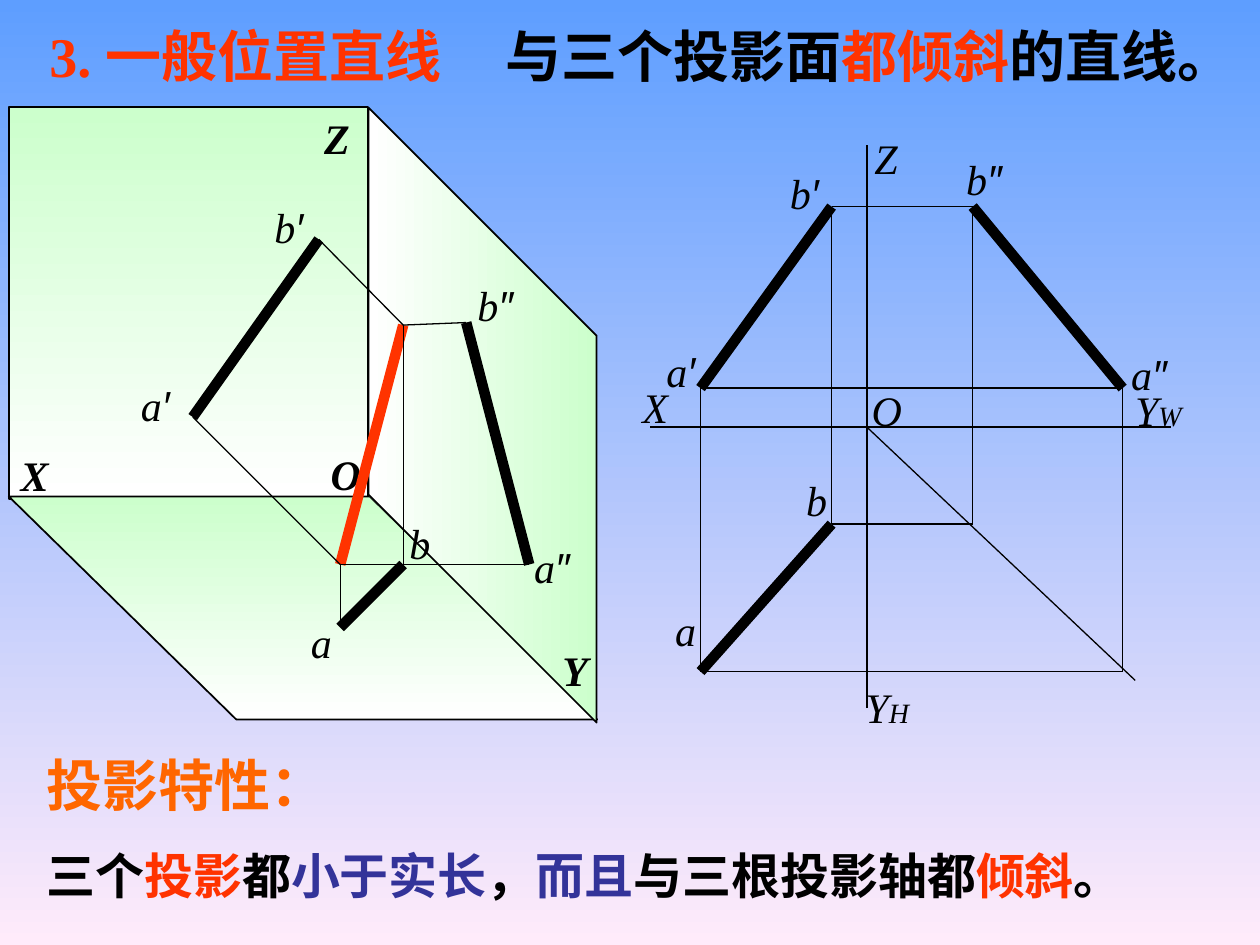
from lxml import etree
from pptx import Presentation
from pptx.dml.color import RGBColor
from pptx.enum import shapes, text
from pptx.oxml import ns
from pptx.util import Inches, Pt

SERIF, SANS, CHINESE = "Times New Roman", "Arial", "Noto Sans CJK SC"
BLACK, RED, ORANGE, NAVY = "000000", "FF3300", "FF6600", "333399"
GREEN, WHITE = "CCFFCC", "FFFFFF"
THIN, THICK = 0.75, 6


def color(value):
    return RGBColor.from_string(value)


def paint_gradient(fill, first, last, angle):
    fill.gradient()
    fill.gradient_angle = angle
    for stop, value in zip(fill.gradient_stops, (first, last)):
        stop.color.rgb = color(value)


def write(slide, box, runs, bold=False, italic=False, centered=False):
    frame = slide.shapes.add_textbox(*map(Inches, box)).text_frame
    frame.word_wrap = True
    frame.auto_size = text.MSO_AUTO_SIZE.SHAPE_TO_FIT_TEXT
    paragraph = frame.paragraphs[0]
    paragraph.alignment = text.PP_ALIGN.CENTER if centered else text.PP_ALIGN.LEFT
    for words, size, tint, face in runs:
        run = paragraph.add_run()
        run.text = words
        run.font.name = face
        run.font.size = Pt(size)
        run.font.bold = bold
        run.font.italic = italic
        run.font.color.rgb = color(tint)
        if any(letter >= "\u3000" for letter in words):
            east = etree.SubElement(run.font._element, ns.qn("a:ea"))
            east.set("typeface", CHINESE)


def write_sentence(slide, box, size, parts):
    write(slide, box, [(words, size, tint, SERIF) for words, tint in parts], bold=True)


def add_label(slide, box, x, y, width, letter, mark="", bold=False):
    runs = [(letter, 24, BLACK, SERIF)]
    if mark:
        is_prime = mark in "′″"
        runs.append((mark, 24 if is_prime else 16, BLACK, SANS if is_prime else SERIF))
    write(slide, (box[0] + x, box[1] + y, width, 0.5), runs,
          bold=bold, italic=True, centered=bold)


def add_line(slide, box, start, end, width=THIN, tint=BLACK):
    left, top = box[:2]
    line = slide.shapes.add_connector(
        shapes.MSO_CONNECTOR.STRAIGHT,
        Inches(left + start[0]), Inches(top + start[1]),
        Inches(left + end[0]), Inches(top + end[1]))
    line.line.width = Pt(width)
    line.line.color.rgb = color(tint)
    etree.SubElement(line._element.spPr, ns.qn("a:effectLst"))


def add_plane(slide, box, kind, x, y, width, height, angle, slant=None):
    plane = slide.shapes.add_shape(
        kind, Inches(box[0] + x), Inches(box[1] + y), Inches(width), Inches(height))
    plane.shadow.inherit = False
    paint_gradient(plane.fill, GREEN, WHITE, angle)
    plane.line.color.rgb = color(BLACK)
    plane.line.width = Pt(1)
    if slant:
        plane.adjustments[0] = slant
    return plane


def build_heading(slide, box):
    left, top, width, height = box
    term_width = 3.74
    write(slide, (left, top, term_width, height),
          [("3. 一般位置直线", 32, RED, SERIF)], bold=True, centered=True)
    gap = 0.09
    definition_left = left + term_width + gap
    write_sentence(slide, (definition_left, top, left + width - definition_left, height), 32,
                   [("与三个投影面", BLACK), ("都倾斜", RED), ("的直线。", BLACK)])


def build_space_view(slide, box):
    kinds = shapes.MSO_SHAPE
    add_plane(slide, box, kinds.RECTANGLE, 0.07, 0.05, 2.85, 3.11, 270)
    floor = add_plane(slide, box, kinds.PARALLELOGRAM, 0.07, 3.14, 4.67, 1.77, 270, 1.02)
    floor._element.spPr.xfrm.set("flipH", "1")
    side = add_plane(slide, box, kinds.PARALLELOGRAM, 1.39, 1.59, 4.88, 1.81, 90, 1)
    side.rotation = 270

    for x, y, axis in ((2.43, 2.71, "O"), (-0.04, 2.72, "X"),
                       (2.36, 0.04, "Z"), (4.25, 4.27, "Y")):
        add_label(slide, box, x, y, 0.63, axis, bold=True)

    a, b = (2.7, 3.68), (3.2, 1.78)
    a_front, b_front = (1.53, 2.51), (2.53, 1.1)
    a_top, b_top = (2.7, 4.18), (3.2, 3.68)
    a_side, b_side = (4.2, 3.68), (3.7, 1.76)
    add_line(slide, box, b, a, THICK, RED)
    for point, views in ((a, (a_front, a_top, a_side)), (b, (b_front, b_top, b_side))):
        for view in views:
            add_line(slide, box, point, view)
    for start, end in ((b_side, a_side), (b_front, a_front), (a_top, b_top)):
        add_line(slide, box, start, end, THICK)

    for x, y, width, letter, mark in (
            (4.14, 3.45, 0.73, "a", "″"), (3.69, 1.37, 0.73, "b", "″"),
            (3.15, 3.26, 0.43, "b", ""), (2.37, 4.04, 0.33, "a", ""),
            (2.08, 0.75, 1, "b", "′"), (1.02, 2.16, 1, "a", "′")):
        add_label(slide, box, x, y, width, letter, mark)


def build_projection_view(slide, box):
    origin = (1.88, 2.39)
    a_x, b_x, b_side_x, a_side_x = 0.56, 1.6, 2.72, 3.91
    b_z, a_z, b_y, a_y = 0.64, 2.08, 3.16, 4.33

    add_line(slide, box, (origin[0], 4.62), (origin[0], 0.15))
    add_line(slide, box, (4.29, origin[1]), (0.16, origin[1]))
    add_line(slide, box, origin, (4.01, 4.4))

    for left, right, upper, lower in ((a_x, a_side_x, a_z, a_y), (b_x, b_side_x, b_z, b_y)):
        for y in (upper, lower):
            add_line(slide, box, (left, y), (right, y))
        for x in (left, right):
            add_line(slide, box, (x, upper), (x, lower))

    for start, end in (((b_x, b_z), (a_x, a_z)),
                       ((b_side_x, b_z), (a_side_x, a_z)),
                       ((b_x, b_y), (a_x, a_y))):
        add_line(slide, box, start, end, THICK)

    for x, y, width, letter, mark in (
            (1.84, 0, 0.45, "Z", ""), (0, 1.98, 0.43, "X", ""), (1.82, 2, 0.43, "O", ""),
            (1.77, 4.36, 0.65, "Y", "H"), (3.91, 2, 0.68, "Y", "W"),
            (0.19, 1.69, 1.15, "a", "′"), (3.88, 1.72, 0.6, "a", "″"),
            (0.26, 3.75, 0.32, "a", ""), (1.17, 0.28, 0.54, "b", "′"),
            (2.57, 0.17, 0.6, "b", "″"), (1.3, 2.72, 0.35, "b", "")):
        add_label(slide, box, x, y, width, letter, mark)


def build_properties(slide, box):
    left, top, width, height = box
    write(slide, (left, top, 3, 0.64), [("投影特性：", 32, ORANGE, CHINESE)], bold=True)
    rule_height = 0.57
    write_sentence(slide, (left, top + height - rule_height, width, rule_height), 28, [
        ("三个", BLACK), ("投影", RED), ("都", BLACK), ("小于实长", NAVY), ("，", BLACK),
        ("而且", NAVY), ("与三根投影轴都", BLACK), ("倾斜", RED), ("。", BLACK)])


def main():
    deck = Presentation()
    deck.slide_width, deck.slide_height = Inches(10), Inches(7.5)
    slide = deck.slides.add_slide(deck.slide_layouts[6])
    paint_gradient(slide.background.fill, "5E9EFF", "FFEBFA", 270)
    build_space_view(slide, (0, 0.8, 5, 5))
    build_properties(slide, (0.27, 5.91, 9.57, 1.32))
    build_heading(slide, (0.08, 0.12, 9.92, 0.64))
    build_projection_view(slide, (5, 1, 4.6, 4.9))
    deck.save("out.pptx")


if __name__ == "__main__":
    main()
